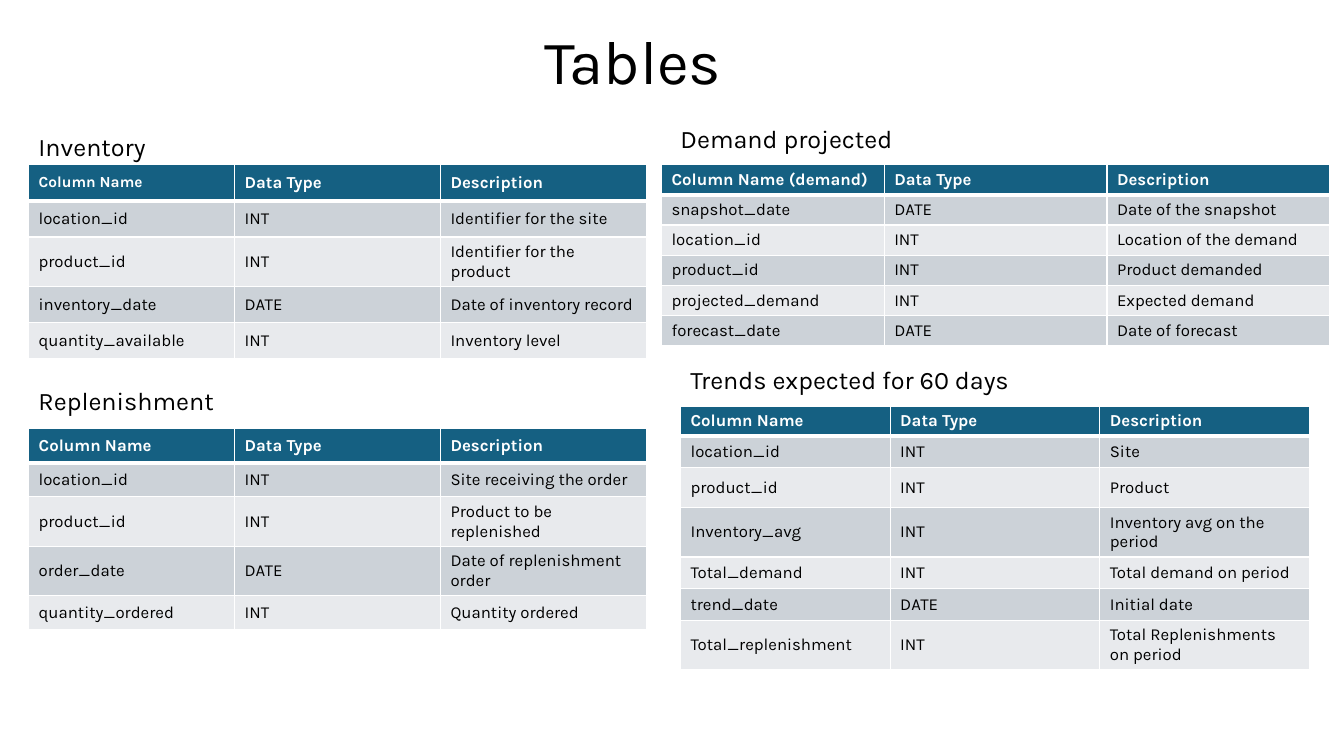
from lxml import etree
from pptx import Presentation
from pptx import util as u
from pptx.dml import color
from pptx.enum import text
from pptx.oxml import ns

FONT = "Karla"
WHITE, BLACK, TEAL = "FFFFFF", "000000", "156082"
BANDS = ("CCD2D8", "E8EAED")
HEAD = ("Column Name", "Data Type", "Description")

STOCK = [
    HEAD,
    ("location_id", "INT", "Identifier for the site"),
    ("product_id", "INT", "Identifier for the product"),
    ("inventory_date", "DATE", "Date of inventory record"),
    ("quantity_available", "INT", "Inventory level"),
]
DEMAND = [
    ("Column Name (demand)",) + HEAD[1:],
    ("snapshot_date", "DATE", "Date of the snapshot"),
    ("location_id", "INT", "Location of the demand"),
    ("product_id", "INT", "Product demanded"),
    ("projected_demand", "INT", "Expected demand"),
    ("forecast_date", "DATE", "Date of forecast"),
]
REFILL = [
    HEAD,
    ("location_id", "INT", "Site receiving the order"),
    ("product_id", "INT", "Product to be replenished"),
    ("order_date", "DATE", "Date of replenishment order"),
    ("quantity_ordered", "INT", "Quantity ordered"),
]
TRENDS = [
    HEAD,
    ("location_id", "INT", "Site"),
    ("product_id", "INT", "Product"),
    ("Inventory_avg", "INT", "Inventory avg on the period"),
    ("Total_demand", "INT", "Total demand on period"),
    ("trend_date", "DATE", "Initial date"),
    ("Total_replenishment", "INT", "Total Replenishments on period"),
]


def rgb(code):
    return color.RGBColor.from_string(code)


def add_run(para, words, size, code=BLACK, bold=False):
    run = para.add_run()
    run.text = words
    font = run.font
    font.name, font.size, font.bold = FONT, u.Pt(size), bold
    font.color.rgb = rgb(code)


def edge(cell, side, width):
    """Draw one white border; side is L, R, T or B."""
    line = etree.SubElement(cell._tc.get_or_add_tcPr(), ns.qn("a:ln" + side),
                            w=str(u.Pt(width)))
    fill = etree.SubElement(line, ns.qn("a:solidFill"))
    etree.SubElement(fill, ns.qn("a:srgbClr"), val=WHITE)


def add_title(slide, left, top, width, height):
    title = slide.shapes.title
    title.left, title.top = u.Cm(left), u.Cm(top)
    title.width, title.height = u.Cm(width), u.Cm(height)
    frame = title.text_frame
    frame.auto_size = text.MSO_AUTO_SIZE.NONE
    frame.vertical_anchor = text.MSO_ANCHOR.MIDDLE
    para = frame.paragraphs[0]
    para.alignment = text.PP_ALIGN.CENTER
    para.line_spacing = 0.9
    add_run(para, "Tables", 44)


def add_label(slide, words, left, top):
    box = slide.shapes.add_textbox(u.Cm(left), u.Cm(top), u.Cm(15.57), u.Cm(1.02))
    frame = box.text_frame
    frame.word_wrap = True
    frame.auto_size = text.MSO_AUTO_SIZE.SHAPE_TO_FIT_TEXT
    add_run(frame.paragraphs[0], words, 18)


def fill_cell(cell, words, row, size):
    head = row == 0
    for side, width in (("L", 1), ("R", 1), ("T", 3 if row == 1 else 1),
                        ("B", 3 if head else 1)):
        edge(cell, side, width)
    cell.fill.solid()
    cell.fill.fore_color.rgb = rgb(TEAL if head else BANDS[(row - 1) % 2])
    cell.vertical_anchor = text.MSO_ANCHOR.MIDDLE
    add_run(cell.text_frame.paragraphs[0], words, size, WHITE if head else BLACK, head)


def add_grid(slide, data, left, top, width, step, tall=None, first=12):
    """Place a table; tall maps a row to its own height, first sizes the corner text."""
    tall = tall or {}
    highs = [tall.get(row, step) for row in range(len(data))]
    grid = slide.shapes.add_table(len(data), len(HEAD), u.Cm(left), u.Cm(top),
                                  u.Cm(width), u.Cm(sum(highs))).table
    for row, line in enumerate(data):
        grid.rows[row].height = u.Cm(highs[row])
        for col, words in enumerate(line):
            size = first if row == col == 0 else 12
            fill_cell(grid.cell(row, col), words, row, size)


def main():
    deck = Presentation()
    deck.slide_width, deck.slide_height = u.Cm(33.87), u.Cm(19.05)
    slide = deck.slides.add_slide(deck.slide_layouts[5])
    add_title(slide, 0.53, 0.48, 30.84, 2.31)

    add_grid(slide, STOCK, 0.72, 4.15, 15.57, 0.91, first=11)
    add_grid(slide, DEMAND, 16.67, 4.15, 16.84, 0.76)
    add_grid(slide, REFILL, 0.72, 10.8, 15.57, 0.86, {2: 1.09})
    add_grid(slide, TRENDS, 17.15, 10.23, 15.85, 0.8, {0: 0.76, 2: 1})

    add_label(slide, "Inventory", 0.72, 3.18)
    add_label(slide, "Demand projected", 16.9, 2.98)
    add_label(slide, "Replenishment", 0.72, 9.58)
    add_label(slide, "Trends expected for 60 days", 17.15, 9.05)
    deck.save("out.pptx")


if __name__ == "__main__":
    main()
